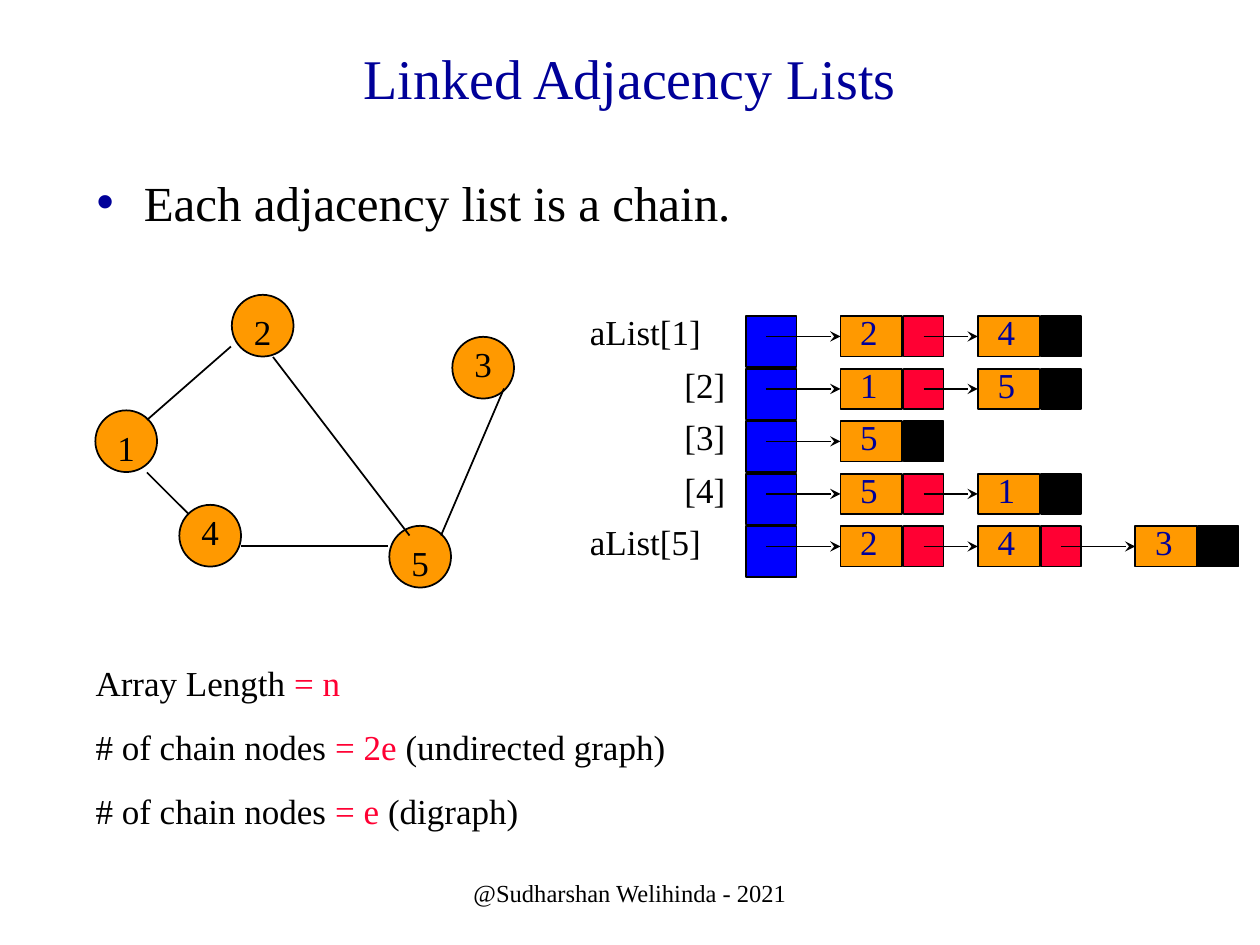
from dataclasses import dataclass

from lxml import etree
from pptx import Presentation
from pptx import util as u
from pptx.dml import color
from pptx.enum import shapes, text
from pptx.oxml import ns

Pt = u.Pt


@dataclass(frozen=True)
class Theme:
    font: str = "Times New Roman"
    navy: str = "000099"
    black: str = "000000"
    red: str = "FF0033"
    orange: str = "FF9900"
    blue: str = "0000FF"
    title: int = 32
    bullet: int = 28
    label: int = 20
    footer: int = 14
    line: float = 1


THEME = Theme()
FRAME = {
    "word_wrap": True,
    "auto_size": text.MSO_AUTO_SIZE.NONE,
    "vertical_anchor": text.MSO_ANCHOR.TOP,
    "margin_left": Pt(7.2), "margin_right": Pt(7.2),
    "margin_top": Pt(3.6), "margin_bottom": Pt(3.6),
}


def set_all(target, values):
    for name, value in values.items():
        setattr(target, name, value)


def rgb(value):
    return color.RGBColor.from_string(value)


def lengths(box):
    return [Pt(value) for value in box]


def write(paragraph, words, size, ink):
    run = paragraph.add_run()
    run.text = words
    set_all(run.font, {"name": THEME.font, "size": Pt(size)})
    run.font.color.rgb = rgb(ink)


def add_label(parent, box, words, ink=THEME.black, size=THEME.label, **frame):
    label = parent.shapes.add_textbox(*lengths(box))
    grow = {"auto_size": text.MSO_AUTO_SIZE.SHAPE_TO_FIT_TEXT}
    set_all(label.text_frame, FRAME | grow | frame)
    paragraph = label.text_frame.paragraphs[0]
    write(paragraph, words, size, ink)
    return paragraph


def add_block(parent, kind, box, fill):
    block = parent.shapes.add_shape(kind, *lengths(box))
    block.shadow.inherit = False
    block.fill.solid()
    block.fill.fore_color.rgb = rgb(fill)
    block.line.color.rgb = rgb(THEME.black)
    block.line.width = Pt(THEME.line)
    return block


def add_line(parent, start, end, target=None):
    """Plain line, or an arrow joined to the left side of target."""
    line = parent.shapes.add_connector(
        shapes.MSO_CONNECTOR.STRAIGHT, *lengths(start + end))
    line.line.color.rgb = rgb(THEME.black)
    line.line.width = Pt(THEME.line)
    etree.SubElement(line._element.spPr, ns.qn("a:effectLst"))
    if target is not None:
        line.end_connect(target, 1)
        etree.SubElement(line.line._get_or_add_ln(), ns.qn("a:tailEnd"), type="stealth")


def place(placeholder, box, anchor):
    names = ("left", "top", "width", "height")
    set_all(placeholder, dict(zip(names, lengths(box))))
    set_all(placeholder.text_frame, FRAME | {"vertical_anchor": anchor})
    return placeholder.text_frame.paragraphs[0]


def add_title(slide, box):
    paragraph = place(slide.shapes.title, box, text.MSO_ANCHOR.MIDDLE)
    paragraph.alignment = text.PP_ALIGN.CENTER
    write(paragraph, "Linked Adjacency Lists", THEME.title, THEME.navy)


def add_bullet(slide, box):
    paragraph = place(slide.placeholders[1], box, text.MSO_ANCHOR.TOP)
    props = paragraph._p.get_or_add_pPr()
    hang = Pt(27)
    props.set("marL", str(hang))
    props.set("indent", str(-hang))
    bullet_color = etree.SubElement(props, ns.qn("a:buClr"))
    etree.SubElement(bullet_color, ns.qn("a:srgbClr"), val=THEME.navy)
    etree.SubElement(props, ns.qn("a:buChar"), char="•")
    paragraph.space_before = Pt(0)
    write(paragraph, "Each adjacency list is a chain.", THEME.bullet, THEME.black)


def add_graph(slide, box):
    left, top = box[:2]
    graph = slide.shapes.add_group_shape()
    diameter = 35.25
    # Vertex: x, y, drop of its number
    vertices = {1: (0, 66, 6), 2: (78, 0, 6), 3: (204, 24, 0),
                4: (48, 120, 0), 5: (168, 132, 6)}
    edges = [((78, 30), (30, 72)), ((102, 36), (180, 138)),
             ((30, 102), (54, 126)), ((234, 54), (198, 138)),
             ((84, 144), (168, 144))]
    for x, y, _ in vertices.values():
        add_block(graph, shapes.MSO_SHAPE.OVAL,
                  (left + x + 0.5, top + y + 0.5, diameter, diameter), THEME.orange)
    for start, end in edges:
        add_line(graph, *((left + x, top + y) for x, y in (start, end)))
    for vertex, (x, y, drop) in vertices.items():
        add_label(graph, (left + x + 6, top + y + drop, 18, 31), str(vertex))


def add_chain(slide, left, top, array_x, neighbours):
    """One row of chain nodes, linked from the array cell."""
    chain = slide.shapes.add_group_shape()
    node_x = (150.25, 228.75, 318.75)
    value_width, pointer, pointer_x, cell_drop = 35.25, 23, 36, 6.75
    cell_top = top + cell_drop
    link_y = cell_top + pointer / 2
    link_x = left + array_x + 11.75
    for position, neighbour in enumerate(neighbours, 1):
        x = left + node_x[position - 1]
        value = add_block(chain, shapes.MSO_SHAPE.RECTANGLE,
                          (x, cell_top, value_width, pointer), THEME.orange)
        is_last = position == len(neighbours)
        add_block(chain, shapes.MSO_SHAPE.RECTANGLE,
                  (x + pointer_x, cell_top, pointer, pointer),
                  THEME.black if is_last else THEME.red)
        add_label(chain, (x + 4.25, top, 14.5, 31), str(neighbour), THEME.navy)
        add_line(chain, (link_x, link_y), (x, link_y), value)
        link_x = x + pointer_x + pointer / 2


def add_lists(slide, box):
    left, top = box[:2]
    array_x, row_pitch, array_cell = 96.25, 30, 29
    rows = {"aList[1]": (2, 4), "[2]": (1, 5), "[3]": (5,),
            "[4]": (5, 1), "aList[5]": (2, 4, 3)}
    array = slide.shapes.add_group_shape()
    for index, (name, neighbours) in enumerate(rows.items()):
        y = top + index * row_pitch
        add_block(array, shapes.MSO_SHAPE.RECTANGLE,
                  (left + array_x, y + 6.75, array_cell, array_cell), THEME.blue)
        x, width = (0, 108) if name.startswith("aList") else (54, 48)
        add_label(array, (left + x, y, width, 31), name)
        add_chain(slide, left, y, array_x, neighbours)


def add_sizes(slide, box):
    lines = [("Array Length", " = n", ""),
             ("# of chain nodes", " = 2e ", "(undirected graph)"),
             ("# of chain nodes", " = e ", "(digraph)")]
    sizes = slide.shapes.add_textbox(*lengths(box)).text_frame
    set_all(sizes, FRAME | {"auto_size": text.MSO_AUTO_SIZE.SHAPE_TO_FIT_TEXT})
    for index, parts in enumerate(lines):
        paragraph = sizes.add_paragraph() if index else sizes.paragraphs[0]
        paragraph.space_before = Pt(12.5 if index else 0)
        for words, ink in zip(parts, (THEME.black, THEME.red, THEME.black)):
            if words:
                write(paragraph, words, THEME.label, ink)


def add_footer(slide, box):
    paragraph = add_label(slide, box, "@Sudharshan Welihinda - 2021",
                          size=THEME.footer, word_wrap=False,
                          auto_size=text.MSO_AUTO_SIZE.NONE,
                          vertical_anchor=text.MSO_ANCHOR.MIDDLE)
    paragraph.alignment = text.PP_ALIGN.CENTER


def main():
    deck = Presentation()
    set_all(deck, {"slide_width": Pt(720), "slide_height": Pt(540)})
    slide = deck.slides.add_slide(deck.slide_layouts[1])
    add_title(slide, (54, 12.25, 612, 63.25))
    add_bullet(slide, (48, 95, 612, 42))
    add_graph(slide, (54, 168, 240, 168))
    add_lists(slide, (330, 174, 378, 156))
    add_sizes(slide, (47.5, 374.5, 660, 104.5))
    add_footer(slide, (246, 492, 228, 36))
    deck.save("out.pptx")


if __name__ == "__main__":
    main()
